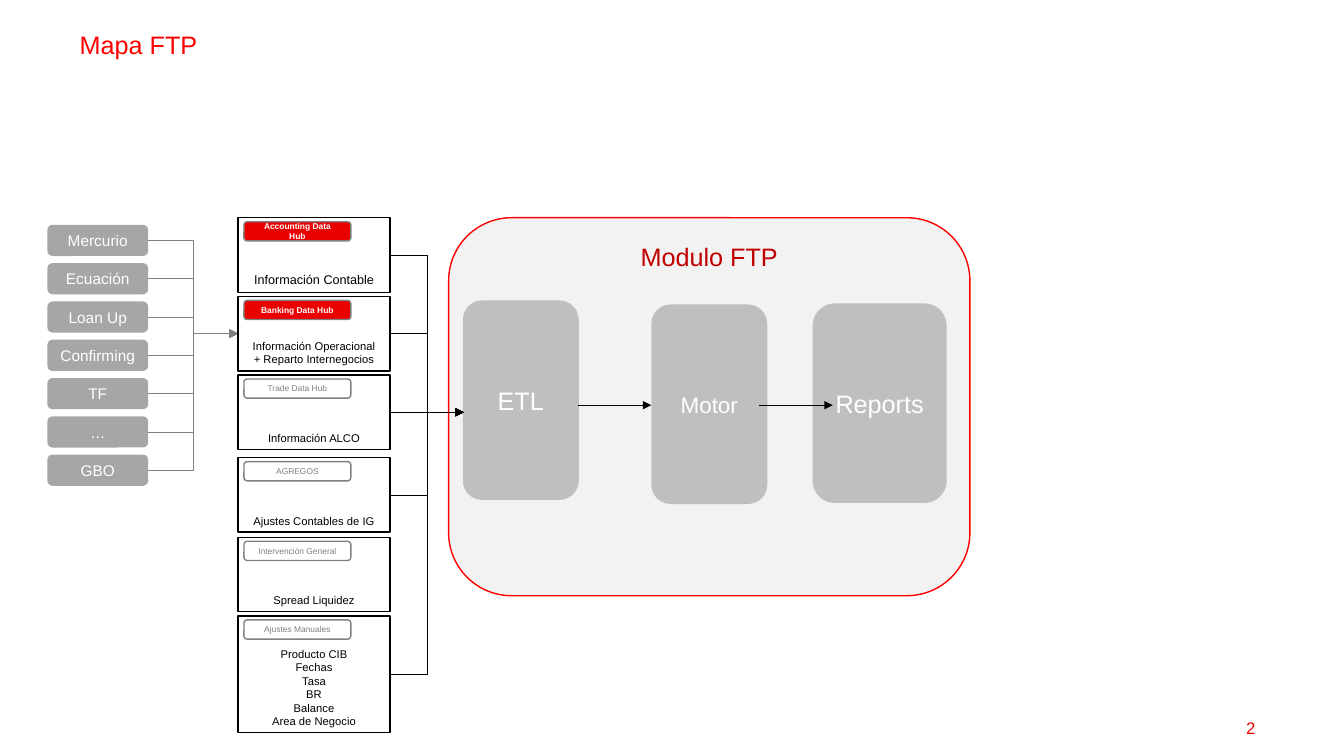
from lxml import etree
from pptx import Presentation
from pptx.dml.color import RGBColor
from pptx.enum.shapes import MSO_CONNECTOR, MSO_SHAPE
from pptx.enum.text import MSO_ANCHOR, MSO_AUTO_SIZE, PP_ALIGN
from pptx.oxml.ns import qn
from pptx.util import Inches, Pt

RECTANGLE, ROUNDED = MSO_SHAPE.RECTANGLE, MSO_SHAPE.ROUNDED_RECTANGLE
STRAIGHT, ELBOW = MSO_CONNECTOR.STRAIGHT, MSO_CONNECTOR.ELBOW
TOP, MIDDLE, BOTTOM = MSO_ANCHOR.TOP, MSO_ANCHOR.MIDDLE, MSO_ANCHOR.BOTTOM
LEFT, CENTER, RIGHT = PP_ALIGN.LEFT, PP_ALIGN.CENTER, PP_ALIGN.RIGHT
NO_AUTO_SIZE = MSO_AUTO_SIZE.NONE

FONT = "Arial"
COLORS = {
    "title": "FF0000", "red": "EB0000", "dark_red": "C00000",
    "panel": "F2F2F2", "stage": "BFBFBF", "system": "A6A6A6",
    "gray": "808080", "black": "000000", "white": "FFFFFF",
}

SYSTEMS = ["Mercurio", "Ecuación", "Loan Up", "Confirming", "TF", "…", "GBO"]
SYSTEM_LEFT, SYSTEM_TOP, SYSTEM_STEP = 0.47, 2.23, 0.38
SYSTEM_WIDTH, SYSTEM_HEIGHT = 1, 0.31

# top, height, source name, content, text size, highlighted, feeds the module
HUBS = [
    (2.16, 0.74, "Accounting Data Hub", "Información Contable", 9, True, True),
    (2.94, 0.74, "Banking Data Hub",
     "Información Operacional\n+ Reparto Internegocios", 8, True, True),
    (3.72, 0.74, "Trade Data Hub", "Información ALCO", 8, False, True),
    (4.54, 0.74, "AGREGOS", "Ajustes Contables de IG", 8, False, True),
    (5.33, 0.74, "Intervención General", "Spread Liquidez", 8, False, False),
    (6.11, 1.16, "Ajustes Manuales",
     "Producto CIB\nFechas\nTasa\nBR\nBalance\nArea de Negocio", 8, False, True),
]
HUB_LEFT, HUB_WIDTH = 2.36, 1.51
BANKING_HUB_MIDDLE = 3.31
MODULE_ENTRY = (4.6, 4.09)

# left, top, width, name, text size
STAGES = [
    (8.06, 3.01, 1.33, "Reports", 18),
    (6.46, 3.02, 1.15, "Motor", 16),
    (4.59, 2.98, 1.15, "ETL", 18),
]
STAGE_HEIGHT = 1.98
STAGE_ARROW_STARTS, STAGE_ARROW_LENGTH, STAGE_ARROW_Y = (5.73, 7.53), 0.73, 4.02


def rgb(name):
    return RGBColor.from_string(COLORS[name])


class FlowSlide:
    def __init__(self, presentation):
        self.slide = presentation.slides.add_slide(presentation.slide_layouts[5])

    def set_text(self, shape, text, size, color, align=CENTER, anchor=MIDDLE,
                 bold=False):
        frame = shape.text_frame
        frame.text = text
        frame.word_wrap = True
        frame.auto_size = NO_AUTO_SIZE
        frame.vertical_anchor = anchor
        for paragraph in frame.paragraphs:
            paragraph.alignment = align
            for run in paragraph.runs:
                run.font.name = FONT
                run.font.size = Pt(size)
                run.font.bold = bold
                run.font.color.rgb = rgb(color)

    def title(self, text, left, top, width, height):
        shape = self.slide.shapes.title
        shape.left, shape.top = Inches(left), Inches(top)
        shape.width, shape.height = Inches(width), Inches(height)
        self.set_text(shape, text, 18, "title", LEFT, TOP)

    def page_number(self, text, left, top, width, height):
        shape = self.slide.shapes.add_textbox(
            Inches(left), Inches(top), Inches(width), Inches(height))
        self.set_text(shape, text, 12, "red", RIGHT, TOP)

    def box(self, kind, bounds, text, size, color, fill=None, line=None,
            anchor=MIDDLE, bold=False):
        shape = self.slide.shapes.add_shape(kind, *[Inches(value) for value in bounds])
        shape.shadow.inherit = False
        if fill:
            shape.fill.solid()
            shape.fill.fore_color.rgb = rgb(fill)
        else:
            shape.fill.background()
        if line:
            shape.line.color.rgb = rgb(line)
            shape.line.width = Pt(1)
        else:
            shape.line.fill.background()
        self.set_text(shape, text, size, color, anchor=anchor, bold=bold)

    def arrow(self, start, end, color):
        """Draw an arrow that bends halfway unless both ends are level."""
        kind = STRAIGHT if start[1] == end[1] else ELBOW
        connector = self.slide.shapes.add_connector(
            kind, *[Inches(value) for value in (*start, *end)])
        connector.line.color.rgb = rgb(color)
        connector.line.width = Pt(0.5)
        properties = connector._element.spPr
        etree.SubElement(properties.find(qn("a:ln")), qn("a:tailEnd"), type="triangle")
        etree.SubElement(properties, qn("a:effectLst"))


def add_systems(flow):
    for index, name in enumerate(SYSTEMS):
        top = SYSTEM_TOP + index * SYSTEM_STEP
        flow.box(ROUNDED, (SYSTEM_LEFT, top, SYSTEM_WIDTH, SYSTEM_HEIGHT),
                 name, 11, "white", fill="system")
        flow.arrow((SYSTEM_LEFT + SYSTEM_WIDTH, top + SYSTEM_HEIGHT / 2),
                   (HUB_LEFT, BANKING_HUB_MIDDLE), "gray")


def add_hubs(flow):
    for top, height, source, content, size, highlighted, feeds in HUBS:
        flow.box(RECTANGLE, (HUB_LEFT, top, HUB_WIDTH, height), content, size,
                 "black", line="black", anchor=BOTTOM)
        flow.box(ROUNDED, (HUB_LEFT + 0.06, top + 0.04, 1.06, 0.19), source, 6,
                 "white" if highlighted else "gray",
                 fill="red" if highlighted else None, line="gray", bold=highlighted)
        if feeds:
            middle = round(top + height / 2, 2)
            flow.arrow((HUB_LEFT + HUB_WIDTH, middle), MODULE_ENTRY, "black")


def add_module(flow):
    flow.box(ROUNDED, (4.45, 2.16, 5.17, 3.75), "Modulo FTP", 18, "dark_red",
             fill="panel", line="title", anchor=TOP)
    for left, top, width, name, size in STAGES:
        flow.box(ROUNDED, (left, top, width, STAGE_HEIGHT), name, size, "white",
                 fill="stage")
    for start in STAGE_ARROW_STARTS:
        flow.arrow((start, STAGE_ARROW_Y),
                   (start + STAGE_ARROW_LENGTH, STAGE_ARROW_Y), "black")


def main():
    presentation = Presentation()
    presentation.slide_width, presentation.slide_height = Inches(13.33), Inches(7.5)
    flow = FlowSlide(presentation)
    flow.title("Mapa FTP", 0.69, 0.24, 9.89, 0.48)
    flow.page_number("2", 10.93, 7.07, 1.62, 0.3)
    add_module(flow)
    add_systems(flow)
    add_hubs(flow)
    presentation.save("out.pptx")


if __name__ == "__main__":
    main()
